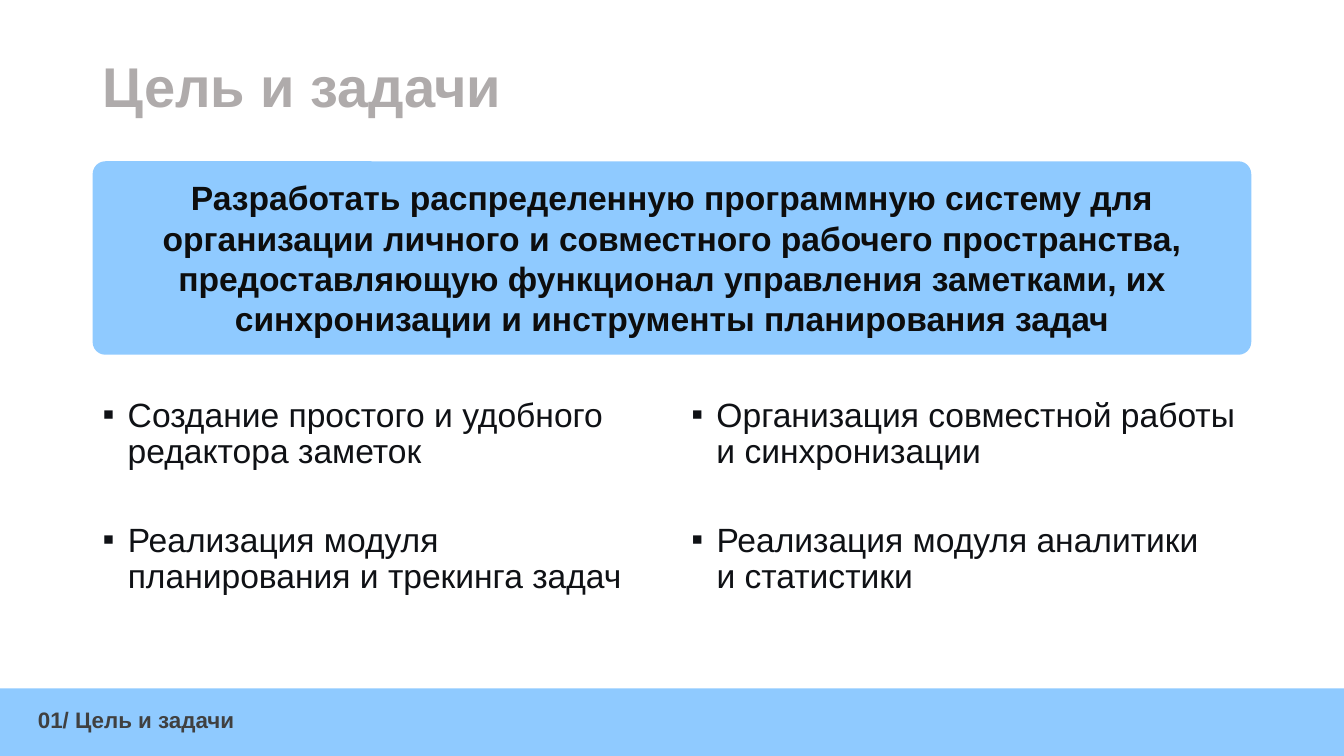
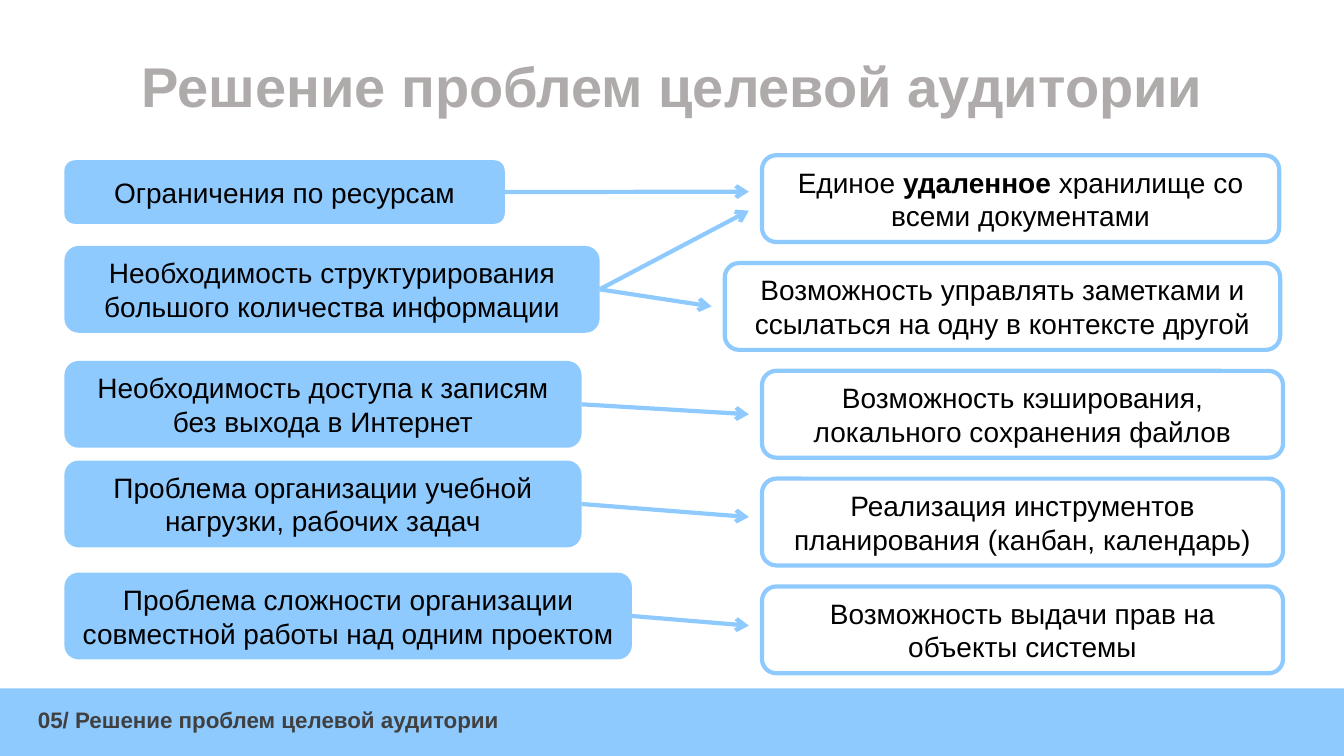
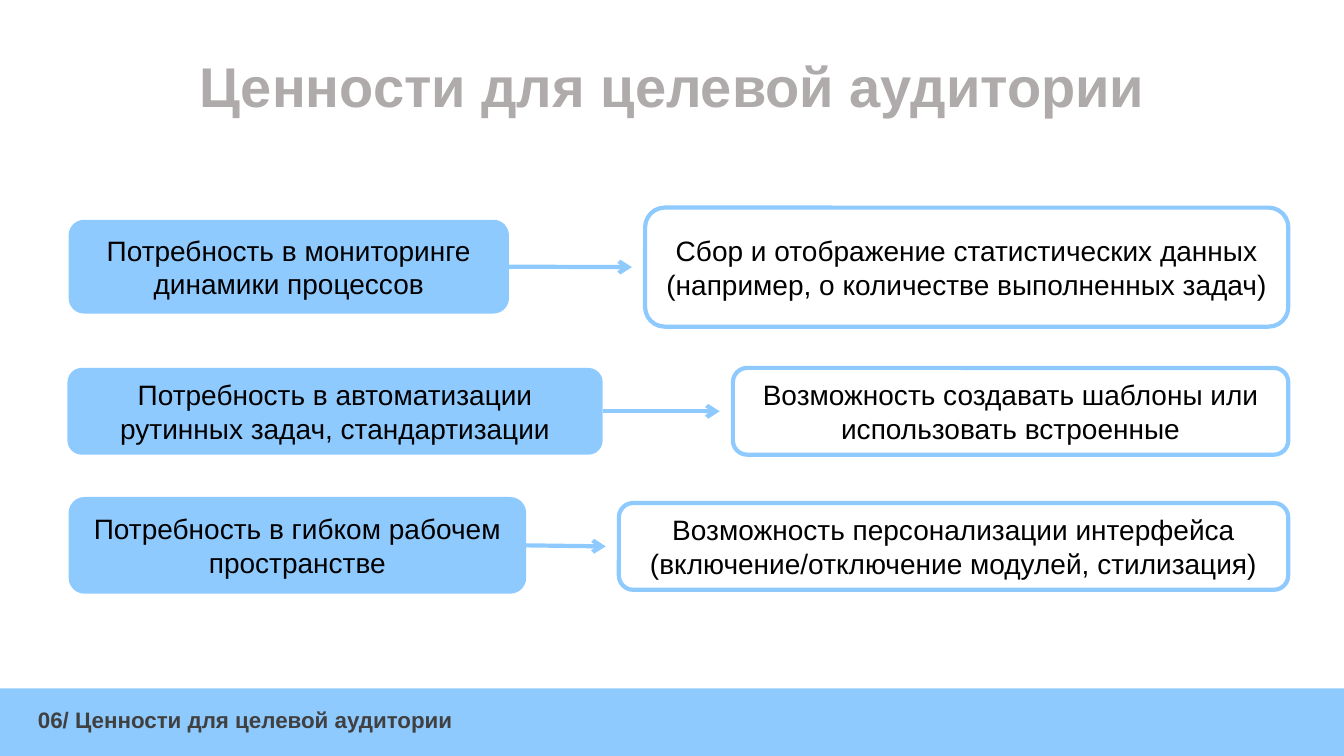
from lxml import etree
from pptx import Presentation
from pptx.dml.color import RGBColor
from pptx.enum import shapes, text
from pptx.oxml import ns
from pptx.util import Pt

COLORS = {"sky": "8FCAFF", "title": "AFABAB", "footer": "404040",
          "goal": "0D0D0D", "task": "0F1115", "box": "000000"}
FORMATS = {
    "title": {"size": Pt(40), "bold": True},
    "footer": {"size": Pt(16), "bold": True},
    "goal": {"size": Pt(24), "bold": True},
    "task": {"size": Pt(24), "bold": False},
    "box": {"size": Pt(20), "bold": False},
}
WIDTH, HEIGHT = 960, 540
BAND_HEIGHT = 48.2
MARGIN = 66.2
CONTENT_WIDTH = WIDTH - 2 * MARGIN
ROUNDING = 0.165
LINE_WIDTH = 3
ARROW_GAP = 9.4
BOX_HEIGHT = 62
LEFT, CENTER = text.PP_ALIGN.LEFT, text.PP_ALIGN.CENTER


def rgb(name):
    return RGBColor.from_string(COLORS[name])


def points(*values):
    return [Pt(value) for value in values]


def write(frame, content, role, align=LEFT, spacing=1.0,
          anchor=text.MSO_ANCHOR.TOP, bullet=None):
    """Fill a text frame; parts between asterisks are bold."""
    settings = {"word_wrap": True, "vertical_anchor": anchor,
                "auto_size": text.MSO_AUTO_SIZE.NONE}
    for name, value in settings.items():
        setattr(frame, name, value)
    paragraph = frame.paragraphs[0]
    paragraph.alignment, paragraph.line_spacing = align, spacing
    if bullet:
        properties = paragraph._p.get_or_add_pPr()
        properties.set("marL", str(Pt(18)))
        properties.set("indent", str(-Pt(18)))
        etree.SubElement(properties, ns.qn("a:buFont")).set("typeface", "Arial")
        etree.SubElement(properties, ns.qn("a:buChar")).set("char", bullet)
    for number, part in enumerate(content.split("*")):
        run = paragraph.add_run()
        run.text = part
        run.font.name = "Arial"
        run.font.color.rgb = rgb(role)
        for name, value in FORMATS[role].items():
            setattr(run.font, name, value)
        if number % 2:
            run.font.bold = True


def add_panel(slide, box, kind=shapes.MSO_SHAPE.ROUNDED_RECTANGLE,
              rounding=ROUNDING, filled=True):
    panel = slide.shapes.add_shape(kind, *points(*box))
    panel.shadow.inherit = False
    if len(panel.adjustments):
        panel.adjustments[0] = rounding
    if filled:
        panel.fill.solid()
        panel.fill.fore_color.rgb = rgb("sky")
        panel.line.fill.background()
    else:
        panel.fill.background()
        panel.line.color.rgb = rgb("sky")
        panel.line.width = Pt(LINE_WIDTH)
    return panel


def add_label(slide, box, content, filled):
    label = add_panel(slide, box, filled=filled)
    write(label.text_frame, content, "box", CENTER, anchor=text.MSO_ANCHOR.MIDDLE)
    return label


def add_arrow(slide, need, answer, shift):
    """Lead from a need to just before its answer, shifted from mid-height."""
    arrow = slide.shapes.add_connector(
        shapes.MSO_CONNECTOR.STRAIGHT, need.left + need.width,
        need.top + need.height // 2, answer.left - Pt(ARROW_GAP),
        answer.top + answer.height // 2 + Pt(shift))
    arrow.begin_connect(need, 3)
    arrow.line.color.rgb = rgb("sky")
    arrow.line.width = Pt(LINE_WIDTH)
    etree.SubElement(arrow.line._get_or_add_ln(), ns.qn("a:tailEnd")).set("type", "arrow")
    etree.SubElement(arrow._element.spPr, ns.qn("a:effectLst"))


def add_titled_slide(deck, number, heading, align=CENTER):
    slide = deck.slides.add_slide(deck.slide_layouts[5])
    title = slide.shapes.title
    title.left, title.top, title.width, title.height = points(
        MARGIN, 28.8, CONTENT_WIDTH, 70.4)
    write(title.text_frame, heading, "title", align, 0.9, text.MSO_ANCHOR.MIDDLE)
    band_top = HEIGHT - BAND_HEIGHT
    add_panel(slide, (0, band_top, WIDTH, BAND_HEIGHT), shapes.MSO_SHAPE.RECTANGLE)
    footer = slide.shapes.add_textbox(*points(20, band_top + 11.5, 554.4, 36.7))
    write(footer.text_frame, f"{number}/ {heading}", "footer", spacing=0.9)
    return slide


def add_goal(slide, box, content):
    goal = add_panel(slide, box, rounding=0.066)
    write(goal.text_frame, content, "goal", CENTER, anchor=text.MSO_ANCHOR.MIDDLE)


def add_tasks(slide, left, top, tasks):
    """Place (width, text) tasks in two columns, row by row."""
    for place, (width, content) in enumerate(tasks):
        row, column = divmod(place, 2)
        task = slide.shapes.add_textbox(
            *points(left + column * 420.5, top + row * 89.3, width, 85))
        write(task.text_frame, content, "task", spacing=0.9, bullet="▪")


def add_mapping(slide, needs, answers, links):
    """Draw (box, text) needs and answers; links are (need, answer, shift)."""
    need_labels = [add_label(slide, *need, filled=True) for need in needs]
    answer_labels = [add_label(slide, *answer, filled=False) for answer in answers]
    for need, answer, shift in links:
        add_arrow(slide, need_labels[need], answer_labels[answer], shift)


def build_goal_slide(deck):
    slide = add_titled_slide(deck, "01", "Цель и задачи", LEFT)
    add_goal(slide, (MARGIN, 115.2, CONTENT_WIDTH, 138.2),
             "Разработать распределенную программную систему для организации "
             "личного и совместного рабочего пространства, предоставляющую "
             "функционал управления заметками, их синхронизации и инструменты "
             "планирования задач")
    add_tasks(slide, MARGIN, 280.8, [
        (376.6, "Создание простого и удобного редактора заметок"),
        (407.5, "Организация совместной работы и синхронизации"),
        (397.4, "Реализация модуля планирования и трекинга задач"),
        (380.2, "Реализация модуля аналитики и статистики"),
    ])


def build_problems_slide(deck):
    slide = add_titled_slide(deck, "05", "Решение проблем целевой аудитории")
    needs = [
        (114.5, 314.6, 45.4, "Ограничения по ресурсам"),
        (175.7, 382.3, BOX_HEIGHT,
         "Необходимость структурирования большого количества информации"),
        (257.8, 369.4, BOX_HEIGHT, "Необходимость доступа к записям без выхода в Интернет"),
        (329, 369.4, BOX_HEIGHT, "Проблема организации учебной нагрузки, рабочих задач"),
        (409, 405.4, BOX_HEIGHT,
         "Проблема сложности организации совместной работы над одним проектом"),
    ]
    answers = [
        (544.3, 369.4, "Единое *удаленное* хранилище со всеми документами"),
        (517.7, 396.7, "Возможность управлять заметками и ссылаться на одну в контексте другой"),
        (544.3, 372.2, "Возможность кэширования, локального сохранения файлов"),
        (544.3, 372.2, "Реализация инструментов планирования (канбан, календарь)"),
        (544.3, 372.2, "Возможность выдачи прав на объекты системы"),
    ]
    add_mapping(
        slide,
        [((46, top, width, height), content) for top, width, height, content in needs],
        [((left, 110.9 + row * 77, width, BOX_HEIGHT), content)
         for row, (left, width, content) in enumerate(answers)],
        [(0, 0, -5), (1, 0, 8.6), (1, 1, 0), (2, 2, 0), (3, 3, -3.6), (4, 4, -3)])


def build_values_slide(deck):
    slide = add_titled_slide(deck, "06", "Ценности для целевой аудитории")
    needs = [
        ((49, 157, 314.6, 67), "Потребность в мониторинге динамики процессов"),
        ((48.2, 262.8, 382.3, BOX_HEIGHT),
         "Потребность в автоматизации рутинных задач, стандартизации"),
        ((49, 355, 326.9, 69.1), "Потребность в гибком рабочем пространстве"),
    ]
    answers = [
        (148.3, 459.4, 85, "Сбор и отображение статистических данных "
                           "(например, о количестве выполненных задач)"),
        (262.8, 396.7, BOX_HEIGHT, "Возможность создавать шаблоны или использовать встроенные"),
        (359.3, 478.1, BOX_HEIGHT, "Возможность персонализации интерфейса "
                                   "(включение/отключение модулей, стилизация)"),
    ]
    right = 920.2
    add_mapping(
        slide, needs,
        [((right - width, top, width, height), content)
         for top, width, height, content in answers],
        [(row, row, 0) for row in range(3)])


def main():
    deck = Presentation()
    deck.slide_width, deck.slide_height = points(WIDTH, HEIGHT)
    for build in (build_goal_slide, build_problems_slide, build_values_slide):
        build(deck)
    deck.save("out.pptx")


if __name__ == "__main__":
    main()
